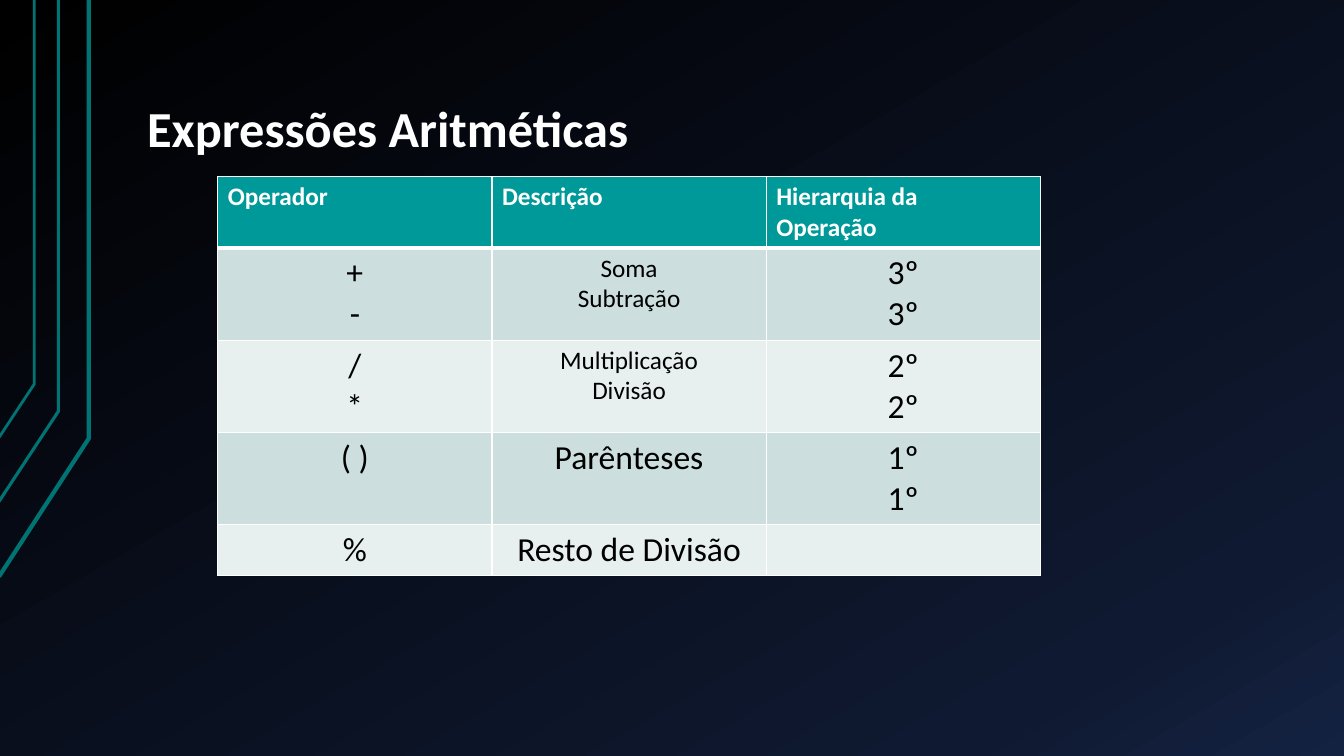
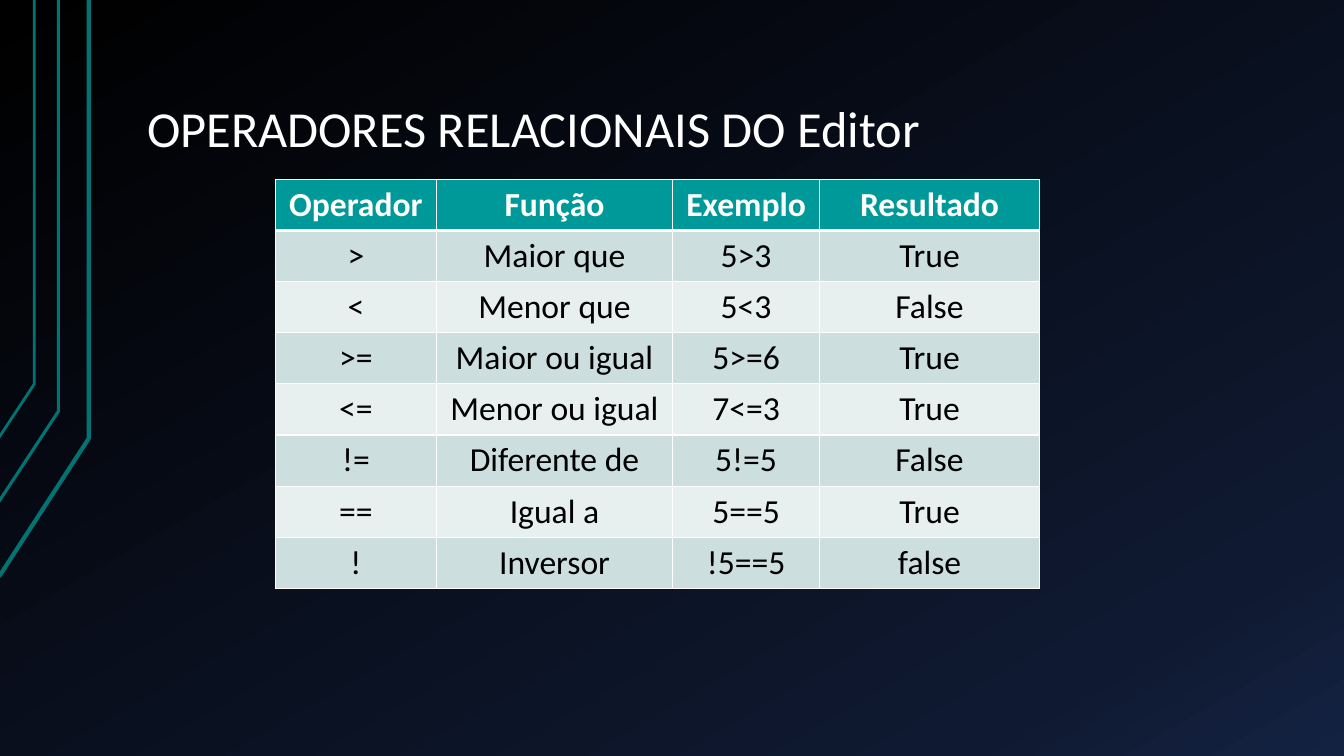
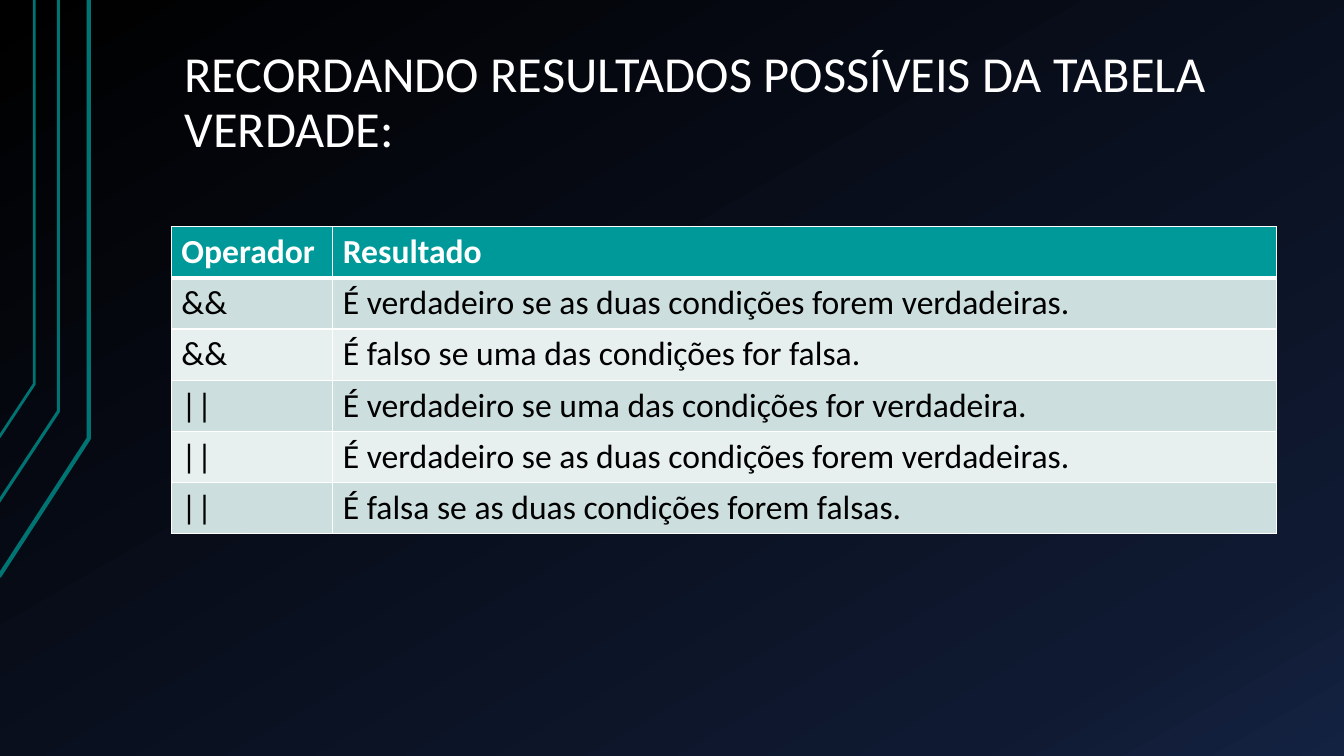
from copy import deepcopy

from lxml import etree
from pptx import Presentation
from pptx.dml.color import RGBColor
from pptx.enum import text
from pptx.oxml.ns import qn
from pptx.util import Inches, Pt

FONT = "Calibri"
COLORS = {
    "white": "FFFFFF",
    "black": "000000",
    "header": "009999",
    "odd": "CCDEDE",
    "even": "E7EFEF",
    "circuit": "007373",
}
BACKDROP = [(0, "000000"), (0.85, "0F1931"), (1, "142242")]
BACKDROP_ANGLE = 60

# Points in inches, then line width in points
CIRCUITS = [
    ([(-0.01, 5.72), (0.88, 4.35), (0.88, 0)], 3),
    ([(-0.02, 4.99), (0.58, 4.08), (0.58, 0)], 2.25),
    ([(-0.01, 4.34), (0.34, 3.81), (0.34, 0)], 2),
]
TITLE_BOX = (1.33, 0.3, 11.33, 1.34)
TITLE_SIZE = 36
BODY_SIZE = 24
SMALL_SIZE = 18
ROW_HEIGHT = 0.41

SLIDES = [
    {
        "title": "Expressões Aritméticas",
        "title_bold": True,
        "at": (2.16, 1.75),
        "columns": [2.72, 2.72, 2.72],
        "header_size": SMALL_SIZE,
        "body_centred": True,
        "small_cells": {(1, 1), (2, 1)},
        "rows": [
            ("Operador", "Descrição", "Hierarquia da\nOperação"),
            ("+\n-", "Soma\nSubtração", "3º\n3º"),
            ("/\n*", "Multiplicação\nDivisão", "2º\n2º"),
            ("( )", "Parênteses", "1º\n1º"),
            ("%", "Resto de Divisão", ""),
        ],
    },
    {
        "title": "OPERADORES RELACIONAIS DO Editor",
        "at": (2.73, 1.78),
        "columns": [1.6, 2.34, 1.46, 2.18],
        "header_centred": True,
        "body_centred": True,
        "rows": [
            ("Operador", "Função", "Exemplo", "Resultado"),
            (">", "Maior que", "5>3", "True"),
            ("<", "Menor que", "5<3", "False"),
            (">=", "Maior ou igual", "5>=6", "True"),
            ("<=", "Menor ou igual", "7<=3", "True"),
            ("!=", "Diferente de", "5!=5", "False"),
            ("==", "Igual a", "5==5", "True"),
            ("!", "Inversor", "!5==5", "false"),
        ],
    },
    {
        "title": "RECORDANDO RESULTADOS POSSÍVEIS DA TABELA VERDADE:",
        "title_left": 1.7,
        "at": (1.7, 2.25),
        "columns": [1.6, 9.36],
        "rows": [
            ("Operador", "Resultado"),
            ("&&", "É verdadeiro se as duas condições forem verdadeiras."),
            ("&&", "É falso se uma das condições for falsa."),
            ("||", "É verdadeiro se uma das condições for verdadeira."),
            ("||", "É verdadeiro se as duas condições forem verdadeiras."),
            ("||", "É falsa se as duas condições forem falsas."),
        ],
    },
]


def rgb(name):
    return RGBColor.from_string(COLORS[name])


def write(paragraph, words, size, color, bold, centred=False):
    paragraph.alignment = text.PP_ALIGN.CENTER if centred else text.PP_ALIGN.LEFT
    run = paragraph.add_run()
    run.text = words
    run.font.name, run.font.size, run.font.bold = FONT, Pt(size), bold
    run.font.color.rgb = rgb(color)


def paint_backdrop(master):
    fill = master.background.fill
    fill.gradient()
    stop_list = master.element.find(".//" + qn("a:gsLst"))
    stop_list.append(deepcopy(stop_list[0]))
    for stop, (position, color) in zip(fill.gradient_stops, BACKDROP):
        stop.position = position
        stop.color.rgb = RGBColor.from_string(color)
    fill.gradient_angle = 360 - BACKDROP_ANGLE


def draw_circuits(master, slide):
    """Build the lines on a slide, then move them to the master."""
    for number, (points, width) in enumerate(CIRCUITS):
        start, *rest = [(Inches(x), Inches(y)) for x, y in points]
        builder = slide.shapes.build_freeform(*start)
        builder.add_line_segments(rest, close=False)
        circuit = builder.convert_to_shape()
        circuit.shadow.inherit = False
        circuit.fill.background()
        circuit.line.color.rgb = rgb("circuit")
        circuit.line.width = Pt(width)
        circuit.element.nvSpPr.cNvPr.set("id", str(100 + number))
        master.shapes.element.append(circuit.element)


def style_title(layout):
    title = layout.placeholders[0]
    title.left, title.top, title.width, title.height = map(Inches, TITLE_BOX)
    frame = title.text_frame
    frame.vertical_anchor = text.MSO_ANCHOR.BOTTOM
    frame.auto_size = text.MSO_AUTO_SIZE.NONE
    frame.word_wrap = True
    frame.margin_left = frame.margin_right = Inches(0.13)
    frame.margin_top = frame.margin_bottom = Inches(0.07)


def add_title(slide, content):
    title = slide.shapes.title
    box = (content.get("title_left", TITLE_BOX[0]), *TITLE_BOX[1:])
    title.left, title.top, title.width, title.height = map(Inches, box)
    paragraph = title.text_frame.paragraphs[0]
    paragraph.line_spacing = 0.9
    write(paragraph, content["title"], TITLE_SIZE, "white",
          content.get("title_bold", False))


def set_borders(cell, row):
    """White rules all round, with a thick one under the header."""
    widths = {"L": 1, "R": 1, "T": 3 if row == 1 else 1, "B": 3 if row == 0 else 1}
    properties = cell._tc.get_or_add_tcPr()
    for side, width in widths.items():
        rule = etree.SubElement(properties, qn("a:ln" + side), w=str(Pt(width)))
        solid = etree.SubElement(rule, qn("a:solidFill"))
        etree.SubElement(solid, qn("a:srgbClr"), val=COLORS["white"])


def fill_cell(cell, row, words, size, centred):
    header = row == 0
    set_borders(cell, row)
    cell.fill.solid()
    cell.fill.fore_color.rgb = rgb("header" if header else "odd" if row % 2 else "even")
    if not words:
        return
    frame = cell.text_frame
    for number, line in enumerate(words.split("\n")):
        paragraph = frame.add_paragraph() if number else frame.paragraphs[0]
        write(paragraph, line, size, "white" if header else "black", header, centred)


def add_operators(slide, content):
    rows, columns = content["rows"], content["columns"]
    left, top = content["at"]
    table = slide.shapes.add_table(
        len(rows), len(columns), Inches(left), Inches(top),
        Inches(sum(columns)), Inches(ROW_HEIGHT * len(rows))).table
    for column, width in zip(table.columns, columns):
        column.width = Inches(width)
    for r, row in enumerate(rows):
        table.rows[r].height = Inches(ROW_HEIGHT)
        centred = content.get("body_centred" if r else "header_centred", False)
        for c, words in enumerate(row):
            size = BODY_SIZE if r else content.get("header_size", BODY_SIZE)
            if (r, c) in content.get("small_cells", ()):
                size = SMALL_SIZE
            fill_cell(table.cell(r, c), r, words, size, centred)


def main():
    deck = Presentation()
    deck.slide_width, deck.slide_height = Inches(13.33), Inches(7.5)
    layout = deck.slide_layouts.get_by_name("Title Only")
    paint_backdrop(deck.slide_master)
    style_title(layout)
    for content in SLIDES:
        slide = deck.slides.add_slide(layout)
        add_title(slide, content)
        add_operators(slide, content)
    draw_circuits(deck.slide_master, deck.slides[0])
    deck.save("out.pptx")


if __name__ == "__main__":
    main()
